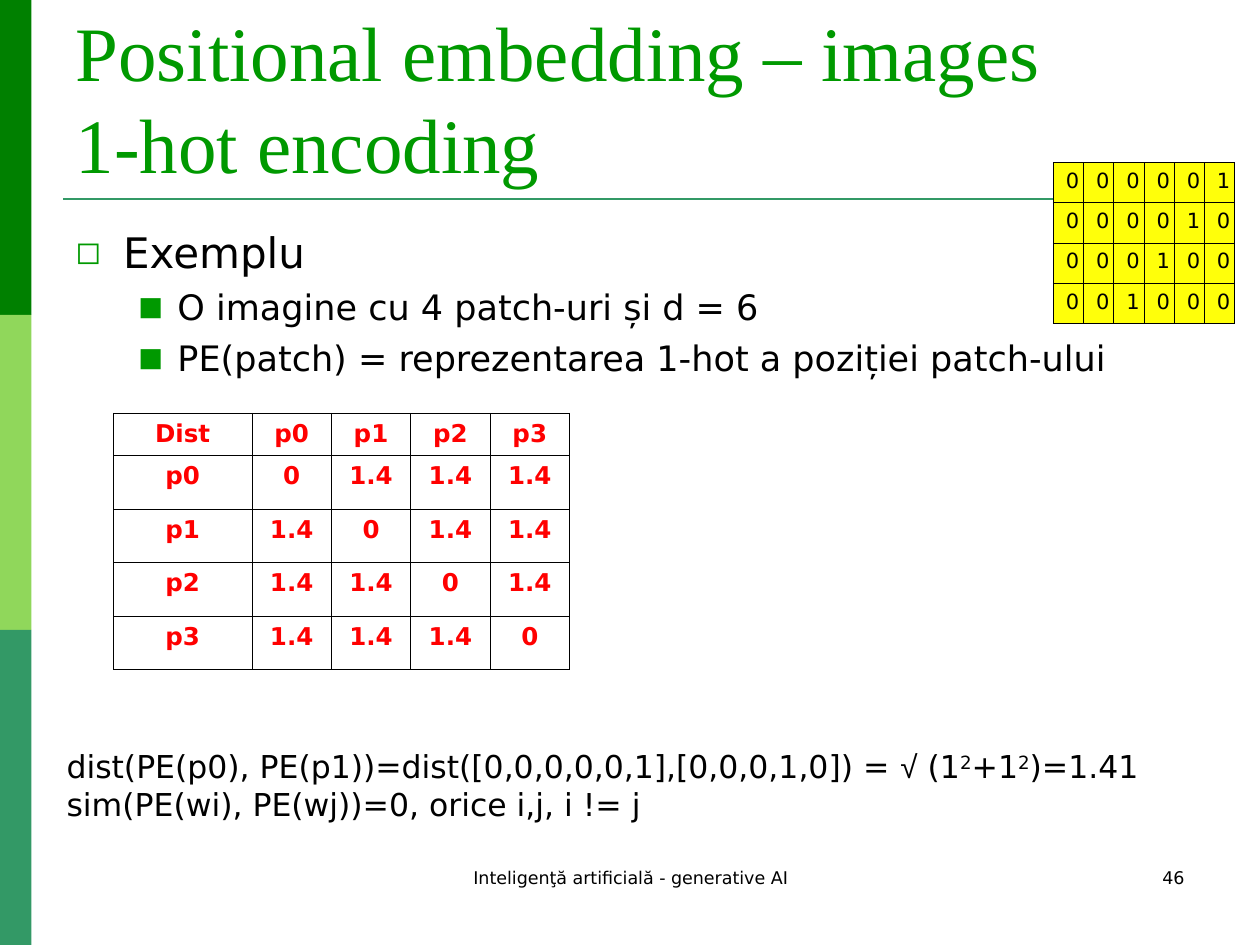
import dataclasses

import lxml.etree
import pptx
import pptx.dml.color
import pptx.enum.shapes
import pptx.enum.text
import pptx.oxml
import pptx.oxml.ns
import pptx.util

Inches = pptx.util.Inches
Pt = pptx.util.Pt
ALIGN = pptx.enum.text.PP_ALIGN
ANCHOR = pptx.enum.text.MSO_ANCHOR
qn = pptx.oxml.ns.qn


@dataclasses.dataclass(frozen=True)
class Theme:
    title_font: str = "Times New Roman"
    body_font: str = "DejaVu Sans"
    symbol_font: str = "Arial"
    green: str = "009900"
    dark_green: str = "008000"
    light_green: str = "90D75B"
    teal: str = "339966"
    black: str = "000000"
    red: str = "FF0000"
    yellow: str = "FFFF0A"
    title_size: int = 44
    bullet_sizes: tuple = (24, 20)
    formula_size: int = 18
    distance_size: int = 14
    encoding_size: int = 12
    footer_size: int = 10


def rgb(color):
    return pptx.dml.color.RGBColor.from_string(color)


class SlideBuilder:
    def __init__(self, slide, theme):
        self.slide = slide
        self.theme = theme

    def format_font(self, font, size, color=None, name=None, bold=False):
        font.name = name or self.theme.body_font
        font.size = Pt(size)
        font.bold = bold
        font.color.rgb = rgb(color or self.theme.black)

    def format_runs(self, paragraph, *style, **options):
        for run in paragraph.runs:
            self.format_font(run.font, *style, **options)

    def add_title(self, text, left, top, width, height):
        title = self.slide.shapes.title
        title.left, title.top = Inches(left), Inches(top)
        title.width, title.height = Inches(width), Inches(height)
        frame = title.text_frame
        frame.text = text
        frame.auto_size = pptx.enum.text.MSO_AUTO_SIZE.NONE
        frame.vertical_anchor = ANCHOR.BOTTOM
        paragraph = frame.paragraphs[0]
        paragraph.alignment = ALIGN.LEFT
        self.format_runs(paragraph, self.theme.title_size, self.theme.green, self.theme.title_font)

    def add_band(self, left, top, width, height, color):
        band = self.slide.shapes.add_shape(
            pptx.enum.shapes.MSO_SHAPE.RECTANGLE,
            Inches(left), Inches(top), Inches(width), Inches(height))
        band.shadow.inherit = False
        band.fill.solid()
        band.fill.fore_color.rgb = rgb(color)
        band.line.fill.background()

    def add_rule(self, left, right, y, color, width):
        rule = self.slide.shapes.add_connector(
            pptx.enum.shapes.MSO_CONNECTOR.STRAIGHT,
            Inches(left), Inches(y), Inches(right), Inches(y))
        rule.line.color.rgb = rgb(color)
        rule.line.width = Pt(width)
        lxml.etree.SubElement(rule._element.spPr, qn("a:effectLst"))

    def add_text_frame(self, left, top, width, height):
        box = self.slide.shapes.add_textbox(Inches(left), Inches(top), Inches(width), Inches(height))
        box.text_frame.word_wrap = True
        return box.text_frame

    def add_label(self, text, left, top, width, height, alignment):
        frame = self.add_text_frame(left, top, width, height)
        frame.text = text
        paragraph = frame.paragraphs[0]
        paragraph.alignment = alignment
        self.format_runs(paragraph, self.theme.footer_size)

    def add_bullets(self, items, left, top, width, height):
        frame = self.add_text_frame(left, top, width, height)
        frame.text = "\n".join(text for level, text in items)
        levels = (("◻", 0.38, 0.38, 6), ("■", 0.81, 0.31, 5))
        for index, (paragraph, (level, text)) in enumerate(zip(frame.paragraphs, items)):
            symbol, margin, hanging, space = levels[level]
            paragraph.level = level
            paragraph.space_before = Pt(space if index else 0)
            properties = paragraph._p.get_or_add_pPr()
            properties.set("marL", str(Inches(margin)))
            properties.set("indent", str(-Inches(hanging)))
            color = lxml.etree.SubElement(properties, qn("a:buClr"))
            lxml.etree.SubElement(color, qn("a:srgbClr"), val=self.theme.green)
            lxml.etree.SubElement(properties, qn("a:buSzPct"), val="75000")
            lxml.etree.SubElement(properties, qn("a:buFont"), typeface=self.theme.body_font)
            lxml.etree.SubElement(properties, qn("a:buChar"), char=symbol)
            self.format_runs(paragraph, self.theme.bullet_sizes[level])

    def add_formulas(self, lines, left, top, width, height):
        frame = self.add_text_frame(left, top, width, height)
        for index, line in enumerate(lines):
            paragraph = frame.add_paragraph() if index else frame.paragraphs[0]
            for text, kind in line:
                run = paragraph.add_run()
                run.text = text
                name = self.theme.symbol_font if kind == "symbol" else None
                self.format_font(run.font, self.theme.formula_size, name=name)
                if kind == "superscript":
                    run._r.get_or_add_rPr().set("baseline", "30000")

    def add_borders(self, cell):
        properties = cell._tc.get_or_add_tcPr()
        for side in ("lnL", "lnR", "lnT", "lnB"):
            border = lxml.etree.SubElement(properties, qn(f"a:{side}"), w=str(Pt(0.45)))
            fill = lxml.etree.SubElement(border, qn("a:solidFill"))
            lxml.etree.SubElement(fill, qn("a:srgbClr"), val=self.theme.black)

    def add_table(self, values, left, top, widths, heights, size, color,
                  fill=None, alignment=ALIGN.LEFT, bold=False):
        table = self.slide.shapes.add_table(
            len(heights), len(widths), Inches(left), Inches(top),
            Inches(sum(widths)), Inches(sum(heights))).table
        table.first_row = False
        table.horz_banding = False
        for column, width in zip(table.columns, widths):
            column.width = Inches(width)
        for row, height, texts in zip(table.rows, heights, values):
            row.height = Inches(height)
            for cell, text in zip(row.cells, texts):
                self.add_borders(cell)
                if fill:
                    cell.fill.solid()
                    cell.fill.fore_color.rgb = rgb(fill)
                else:
                    cell.fill.background()
                cell.text = text
                paragraph = cell.text_frame.paragraphs[0]
                paragraph.alignment = alignment
                self.format_runs(paragraph, size, color, bold=bold)


def main():
    theme = Theme()
    presentation = pptx.Presentation()
    presentation.slide_width = Inches(10)
    presentation.slide_height = Inches(7.5)
    slide = presentation.slides.add_slide(presentation.slide_layouts[5])
    builder = SlideBuilder(slide, theme)

    for index, color in enumerate((theme.dark_green, theme.light_green, theme.teal)):
        builder.add_band(0, 2.5 * index, 0.25, 2.5, color)
    builder.add_rule(0.5, 9.33, 1.58, theme.teal, 1.5)
    builder.add_title("Positional embedding – images\v1-hot encoding", 0.5, 0.3, 9, 1.25)
    builder.add_bullets([
        (0, "Exemplu"),
        (1, "O imagine cu 4 patch-uri și d = 6"),
        (1, "PE(patch) = reprezentarea 1-hot a poziției patch-ului"),
    ], 0.5, 1.75, 9, 4.95)
    builder.add_label("Inteligenţă artificială - generative AI", 3.42, 6.83, 3.17, 0.5, ALIGN.CENTER)
    builder.add_label("46", 7.17, 6.83, 2.33, 0.5, ALIGN.RIGHT)

    patches, dimension = 4, 6
    encodings = [["1" if column == dimension - 1 - patch else "0" for column in range(dimension)]
                 for patch in range(patches)]
    builder.add_table(encodings, 8.36, 1.29, [0.24] * dimension, [0.32] * patches,
                      theme.encoding_size, theme.black, fill=theme.yellow)

    names = [f"p{patch}" for patch in range(patches)]
    distances = [["Dist", *names]]
    for name in names:
        distances.append([name, *("0" if other == name else "1.4" for other in names)])
    builder.add_table(distances, 0.9, 3.28, [1.1] + [0.63] * patches, [0.33] + [0.425] * patches,
                      theme.distance_size, theme.red, alignment=ALIGN.CENTER, bold=True)

    builder.add_formulas([
        [("dist(PE(p0), PE(p1))=dist([0,0,0,0,0,1],[0,0,0,1,0]) = ", "text"), ("√", "symbol"),
         (" (1", "text"), ("2", "superscript"), ("+1", "text"), ("2", "superscript"),
         (")=1.41", "text")],
        [("sim(PE(wi), PE(wj))=0, orice i,j, i != j", "text")],
    ], 0.43, 5.88, 9.45, 0.7)
    presentation.save("out.pptx")


if __name__ == "__main__":
    main()
